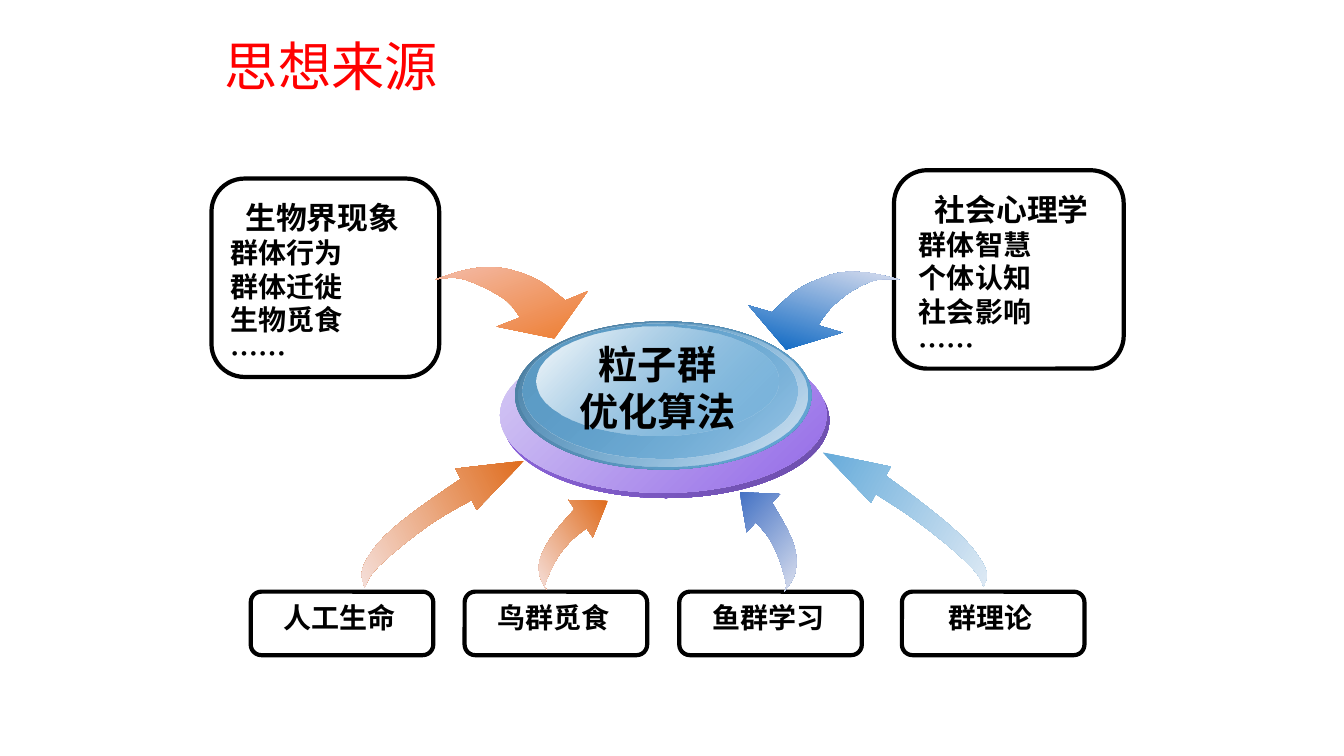
from lxml.etree import SubElement
from pptx import Presentation
from pptx.dml.color import RGBColor
from pptx.enum.shapes import MSO_SHAPE
from pptx.enum.text import MSO_ANCHOR, PP_ALIGN
from pptx.oxml.ns import qn
from pptx.util import Cm, Pt

COLORS = {
    "black": "000000", "red": "FF0000", "white": "FFFFFF",
    "orange": "ED7D31", "peach": "F4BBA7", "rust": "DF6C1D", "blush": "F5DED8",
    "blue": "0563C1", "mist": "D8DDEE", "royal": "4472C4", "haze": "DADFEE",
    "sky": "66ABDA", "ice": "DDE9F4", "frost": "D9E6F3",
    "steel": "497A9C", "lake": "5C9BC5",
    "purple": "9369E7", "plum": "6B4DA9", "lilac": "D8CEF5",
}
HEADING = {"size": Pt(22), "bold": True, "name": "Noto Sans CJK SC"}
BODY = {**HEADING, "size": Pt(20)}
CENTER = {**HEADING, "size": Pt(28)}
TITLE = {"size": Pt(38), "name": "Times New Roman"}

# left, top, width, height, first color, last color, first opacity, last opacity
DISC_LAYERS = [
    (12.67, 8.64, 8.23, 3.91, "purple", "plum", 100, 100),
    (12.60, 8.51, 8.23, 3.91, "lilac", "purple", 100, 100),
    (12.98, 8.10, 7.47, 3.73, "steel", "sky", 100, 100),
    (13.08, 8.13, 7.26, 3.63, "sky", "frost", 0, 100),
    (13.16, 8.15, 6.93, 3.40, "lake", "sky", 100, 48),
    (13.51, 8.23, 6.10, 2.74, "white", "sky", 100, 38),
]

# left, top, width, text offset, text width, lines
SOURCES = [
    (5.33, 4.50, 5.74, 0.23, 5.13,
     ["生物界现象", "群体行为", "群体迁徙", "生物觅食", "……"]),
    (22.53, 4.29, 5.79, 0.38, 5.18,
     ["社会心理学", "群体智慧", "个体认知", "社会影响", "……"]),
]
FIELDS = [(6.32, "人工生命"), (11.71, "鸟群觅食"), (17.12, "鱼群学习"), (22.73, "群理论")]

# head color, tail color, gradient angle, outer edge from the tail, head, inner edge
TOP_ARROWS = [
    ("orange", "peach", 248.4,
     [(10.97, 7.04), (11.71, 6.81), (12.37, 6.73), (12.98, 6.83), (13.61, 7.09), (14.25, 7.57)],
     [(14.81, 7.34), (13.97, 8.53), (12.52, 8.23)],
     [(13.11, 8.00), (12.78, 7.59), (12.19, 7.24), (11.56, 7.01)]),
    ("blue", "mist", 106.2 + 180,
     [(22.66, 7.04), (21.92, 6.88), (21.23, 6.86), (20.62, 7.04), (20.04, 7.34), (19.46, 7.87)],
     [(18.87, 7.70), (19.81, 8.81), (21.23, 8.38)],
     [(20.62, 8.20), (20.93, 7.77), (21.46, 7.34), (22.07, 7.06)]),
]
BOTTOM_ARROWS = [
    ("sky", "ice", 29.3,
     [(24.79, 14.78), (24.87, 14.45), (24.66, 14.02), (24.21, 13.49), (23.44, 12.83), (22.33, 11.99)],
     [(22.45, 11.76), (20.73, 11.40), (21.95, 12.67)],
     [(22.07, 12.45), (22.96, 13.03), (23.88, 13.74), (24.56, 14.38)]),
    ("royal", "haze", 41,
     [(19.76, 14.91), (19.99, 14.58), (20.07, 14.20), (20.02, 13.77), (19.81, 13.28), (19.46, 12.67)],
     [(19.66, 12.45), (18.64, 12.40), (18.82, 13.41)],
     [(19.05, 13.16), (19.38, 13.56), (19.63, 14.07), (19.81, 14.71)]),
    ("rust", "blush", 147.2,
     [(13.77, 14.86), (13.61, 14.53), (13.59, 14.17), (13.74, 13.79), (14.02, 13.36), (14.48, 12.83)],
     [(14.33, 12.60), (15.32, 12.62), (14.94, 13.54)],
     [(14.78, 13.31), (14.38, 13.64), (14.02, 14.10), (13.74, 14.71)]),
    ("rust", "blush", 153.6,
     [(9.19, 14.81), (9.12, 14.43), (9.30, 14.00), (9.75, 13.46), (10.52, 12.83), (11.61, 12.07)],
     [(11.48, 11.81), (13.21, 11.61), (12.01, 12.85)],
     [(11.89, 12.60), (11.00, 13.11), (10.11, 13.77), (9.42, 14.40)]),
]


def smooth(knots, steps=4):
    """Return points of a Catmull-Rom curve through the knots."""
    padded = [knots[0], *knots, knots[-1]]
    points = []
    for before, start, end, after in zip(padded, padded[1:], padded[2:], padded[3:]):
        for step in range(steps):
            t = step / steps
            points.append(tuple(
                b + t * ((c - a) + t * ((2 * a - 5 * b + 4 * c - d) + t * (3 * b - a - 3 * c + d))) / 2
                for a, b, c, d in zip(before, start, end, after)))
    return points + [knots[-1]]


class SlideBuilder:
    def __init__(self, slide):
        self.shapes = slide.shapes

    def gradient(self, shape, colors, angle, opacities=(100, 100)):
        """Fill without outline; the angle runs clockwise from the left edge."""
        shape.shadow.inherit = False
        shape.line.fill.background()
        shape.fill.gradient()
        shape.fill.gradient_angle = (360 - angle) % 360
        for stop, color, opacity in zip(shape.fill.gradient_stops, colors, opacities):
            stop.color.rgb = RGBColor.from_string(COLORS[color])
            if opacity < 100:
                for element in shape._element.spPr.iter(qn("a:srgbClr")):
                    if element.getparent() is stop._gs:
                        SubElement(element, qn("a:alpha"), val=str(opacity * 1000))

    def ellipse(self, left, top, width, height, colors, opacities):
        shape = self.shapes.add_shape(MSO_SHAPE.OVAL, Cm(left), Cm(top), Cm(width), Cm(height))
        self.gradient(shape, colors, 45, opacities)

    def frame(self, left, top, width, height):
        shape = self.shapes.add_shape(
            MSO_SHAPE.ROUNDED_RECTANGLE, Cm(left), Cm(top), Cm(width), Cm(height))
        shape.shadow.inherit = False
        shape.fill.background()
        shape.line.color.rgb = RGBColor.from_string(COLORS["black"])
        shape.line.width = Pt(3)

    def arrow(self, head_color, tail_color, angle, outer, head, inner):
        outline = smooth(outer) + head + smooth(inner + outer[:1])
        points = [(Cm(x), Cm(y)) for x, y in outline]
        builder = self.shapes.build_freeform(*points[0])
        builder.add_line_segments(points[1:], close=True)
        self.gradient(builder.convert_to_shape(), (head_color, tail_color), angle)

    def text(self, left, top, width, height, lines, color="black", frame_format=None):
        """Add a text box; each line is (text, font format, paragraph format)."""
        box = self.shapes.add_textbox(Cm(left), Cm(top), Cm(width), Cm(height))
        frame = box.text_frame
        for name, value in {"word_wrap": True, **(frame_format or {})}.items():
            setattr(frame, name, value)
        for index, (text, font_format, paragraph_format) in enumerate(lines):
            paragraph = frame.add_paragraph() if index else frame.paragraphs[0]
            for name, value in paragraph_format.items():
                setattr(paragraph, name, value)
            run = paragraph.add_run()
            run.text = text
            for name, value in font_format.items():
                setattr(run.font, name, value)
            run.font.color.rgb = RGBColor.from_string(COLORS[color])
            if font_format is not TITLE:
                SubElement(run.font._element, qn("a:ea"), typeface=font_format["name"])


def main():
    presentation = Presentation()
    presentation.slide_width, presentation.slide_height = Cm(33.87), Cm(19.05)
    builder = SlideBuilder(presentation.slides.add_slide(presentation.slide_layouts[6]))
    centered = {"alignment": PP_ALIGN.CENTER}

    builder.text(5.08, 1.02, 23.7, 1.57, [("思想来源", TITLE, {"line_spacing": 0.8})], "red",
                 {"vertical_anchor": MSO_ANCHOR.MIDDLE, "margin_left": Cm(0.59)})

    for left, top, width, offset, text_width, (heading, *items) in SOURCES:
        builder.frame(left, top, width, 5)
        lines = [(heading, HEADING, centered)] + [(item, BODY, {}) for item in items]
        builder.text(left + offset, top + 0.38, text_width, 4.57, lines)
    for arrow in TOP_ARROWS:
        builder.arrow(*arrow)

    for left, top, width, height, first, last, *opacities in DISC_LAYERS:
        builder.ellipse(left, top, width, height, (first, last), opacities)
    builder.text(14.33, 8.46, 4.48, 2.62,
                 [(line, CENTER, centered) for line in ("粒子群", "优化算法")],
                 frame_format={"word_wrap": False})

    for left, name in FIELDS:
        builder.frame(left, 14.91, 4.6, 1.6)
        builder.text(left + 0.2, 15.01, 4.09, 1.09, [(name, BODY, centered)])
    for arrow in BOTTOM_ARROWS:
        builder.arrow(*arrow)

    presentation.save("out.pptx")


if __name__ == "__main__":
    main()
